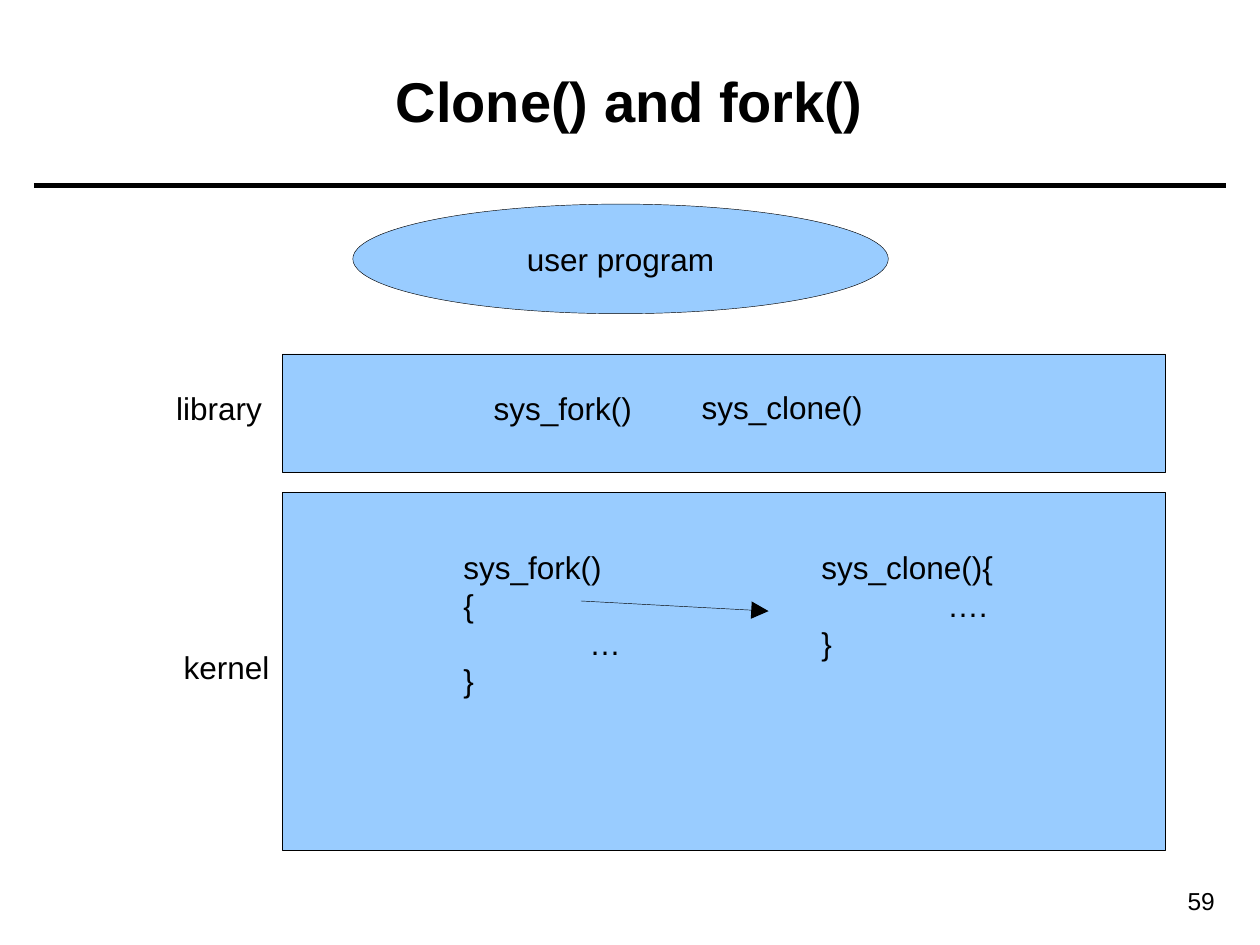
from dataclasses import dataclass

from lxml import etree
from pptx import Presentation
from pptx import util as u
from pptx.dml.color import RGBColor
from pptx.enum import shapes, text
from pptx.oxml import ns

BLACK, SKY = "000000", "99CCFF"
LEFT, CENTER, RIGHT = text.PP_ALIGN.LEFT, text.PP_ALIGN.CENTER, text.PP_ALIGN.RIGHT
HAIRLINE = 0.25
LAYER_LEFT, LAYER_WIDTH = 2.24, 7.01


@dataclass
class Block:
    """A filled shape of the diagram."""
    kind: shapes.MSO_SHAPE
    left: float
    top: float
    width: float
    height: float
    label: str = ""


@dataclass
class Label:
    """Free text that stays on its own lines."""
    left: float
    top: float
    width: float
    height: float
    lines: tuple[str, ...]


BLOCKS = [
    Block(shapes.MSO_SHAPE.RECTANGLE, LAYER_LEFT, 3.91, LAYER_WIDTH, 2.84),
    Block(shapes.MSO_SHAPE.RECTANGLE, LAYER_LEFT, 2.81, LAYER_WIDTH, 0.94),
    Block(shapes.MSO_SHAPE.OVAL, 2.8, 1.62, 4.25, 0.87, "user program"),
]
LABELS = [
    Label(6.42, 4.3, 1.58, 1, ("sys_clone(){", "\t….", "}")),
    Label(3.58, 4.3, 1.45, 1.3, ("sys_fork()", "{", "\t…", "}")),
    Label(3.82, 3.04, 1.32, 0.4, ("sys_fork()",)),
    Label(5.47, 3.03, 1.5, 0.4, ("sys_clone()",)),
    Label(1.3, 3.04, 0.9, 0.4, ("library",)),
    Label(1.36, 5.09, 0.9, 0.4, ("kernel",)),
]


def color(value: str) -> RGBColor:
    return RGBColor.from_string(value)


def add_tab_stop(p, position: float) -> None:
    tabs = etree.SubElement(p._p.get_or_add_pPr(), ns.qn("a:tabLst"))
    etree.SubElement(tabs, ns.qn("a:tab"), pos=str(u.Inches(position)), algn="l")


def write(tf, lines: tuple[str, ...], align=LEFT, **font) -> None:
    """Fill a text frame with one paragraph per line."""
    style = {"name": "Arial", "size": u.Pt(18), "bold": False} | font
    for i, line in enumerate(lines):
        p = tf.paragraphs[0] if i == 0 else tf.add_paragraph()
        p.alignment = align
        if line.startswith("\t"):
            add_tab_stop(p, 1)
        r = p.add_run()
        r.text = line
        for key, value in style.items():
            setattr(r.font, key, value)
        r.font.color.rgb = color(BLACK)


def add_text(s, left: float, top: float, width: float, height: float):
    box = s.shapes.add_textbox(*map(u.Inches, (left, top, width, height)))
    return box.text_frame


def add_block(s, block: Block) -> None:
    box = (block.left, block.top, block.width, block.height)
    sp = s.shapes.add_shape(block.kind, *map(u.Inches, box))
    sp.shadow.inherit = False
    sp.fill.solid()
    sp.fill.fore_color.rgb = color(SKY)
    sp.line.color.rgb = color(BLACK)
    sp.line.width = u.Pt(HAIRLINE)
    if block.label:
        tf = sp.text_frame
        tf.word_wrap = False
        tf.vertical_anchor = text.MSO_ANCHOR.MIDDLE
        write(tf, (block.label,), CENTER)


def add_label(s, label: Label) -> None:
    tf = add_text(s, label.left, label.top, label.width, label.height)
    tf.word_wrap = False
    tf.auto_size = text.MSO_AUTO_SIZE.SHAPE_TO_FIT_TEXT
    write(tf, label.lines)


def add_line(s, x1: float, y1: float, x2: float, y2: float,
             width: float, arrow: bool = False) -> None:
    line = s.shapes.add_connector(shapes.MSO_CONNECTOR.STRAIGHT,
                                  *map(u.Inches, (x1, y1, x2, y2)))
    line.line.color.rgb = color(BLACK)
    line.line.width = u.Pt(width)
    if arrow:
        etree.SubElement(line.line._get_or_add_ln(), ns.qn("a:tailEnd"),
                         type="triangle", w="lg", len="lg")
    etree.SubElement(line._element.spPr, ns.qn("a:effectLst"))


def main() -> None:
    prs = Presentation()
    prs.slide_width, prs.slide_height = u.Inches(10), u.Inches(7.5)
    s = prs.slides.add_slide(prs.slide_layouts[6])

    add_line(s, 0.27, 1.47, 9.73, 1.47, 3)
    number = add_text(s, 8.7, 6.98, 1.04, 0.34)
    number.word_wrap = True
    write(number, ("59",), RIGHT, size=u.Pt(14))
    title = add_text(s, 0.35, 0.17, 9.29, 1.25)
    title.word_wrap = True
    title.vertical_anchor = text.MSO_ANCHOR.MIDDLE
    write(title, ("Clone() and fork()",), CENTER, size=u.Pt(32), bold=True)

    for block in BLOCKS:
        add_block(s, block)
    for label in LABELS:
        add_label(s, label)
    add_line(s, 4.61, 4.77, 6.1, 4.85, HAIRLINE, arrow=True)

    prs.save("out.pptx")


if __name__ == "__main__":
    main()
